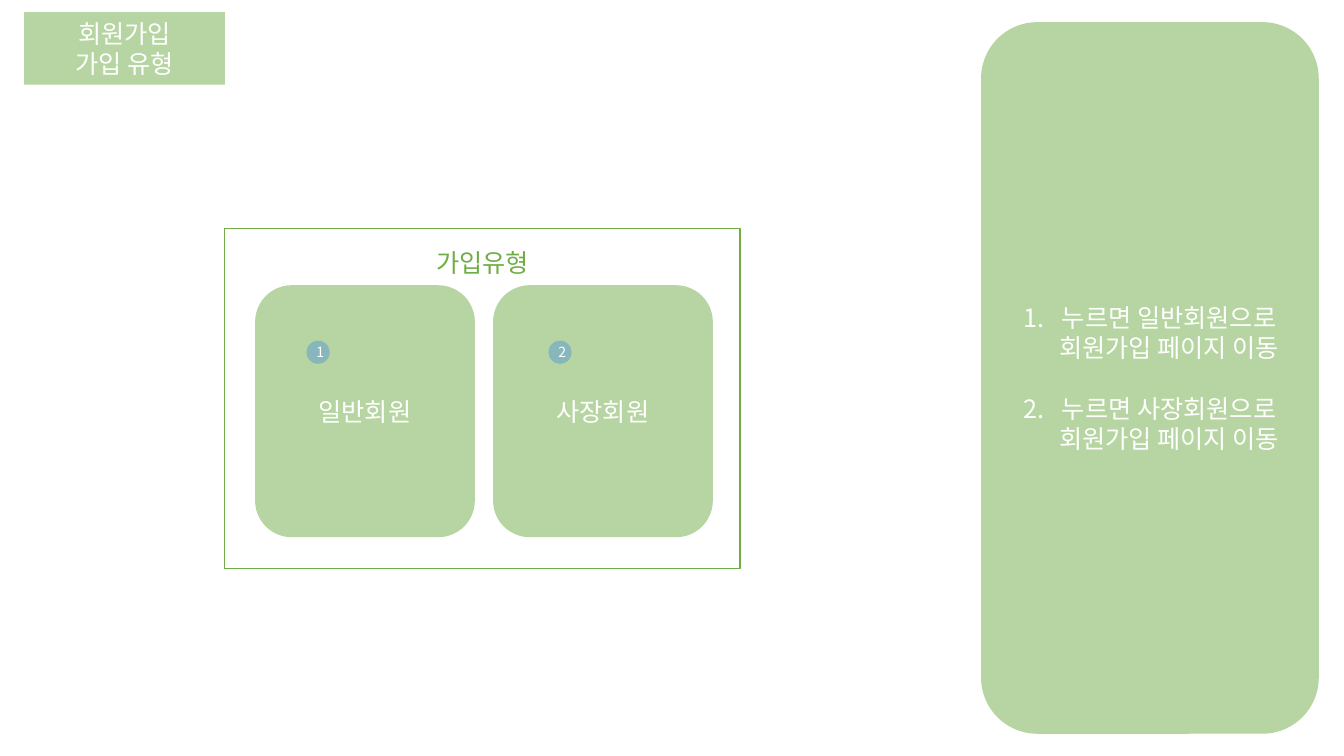
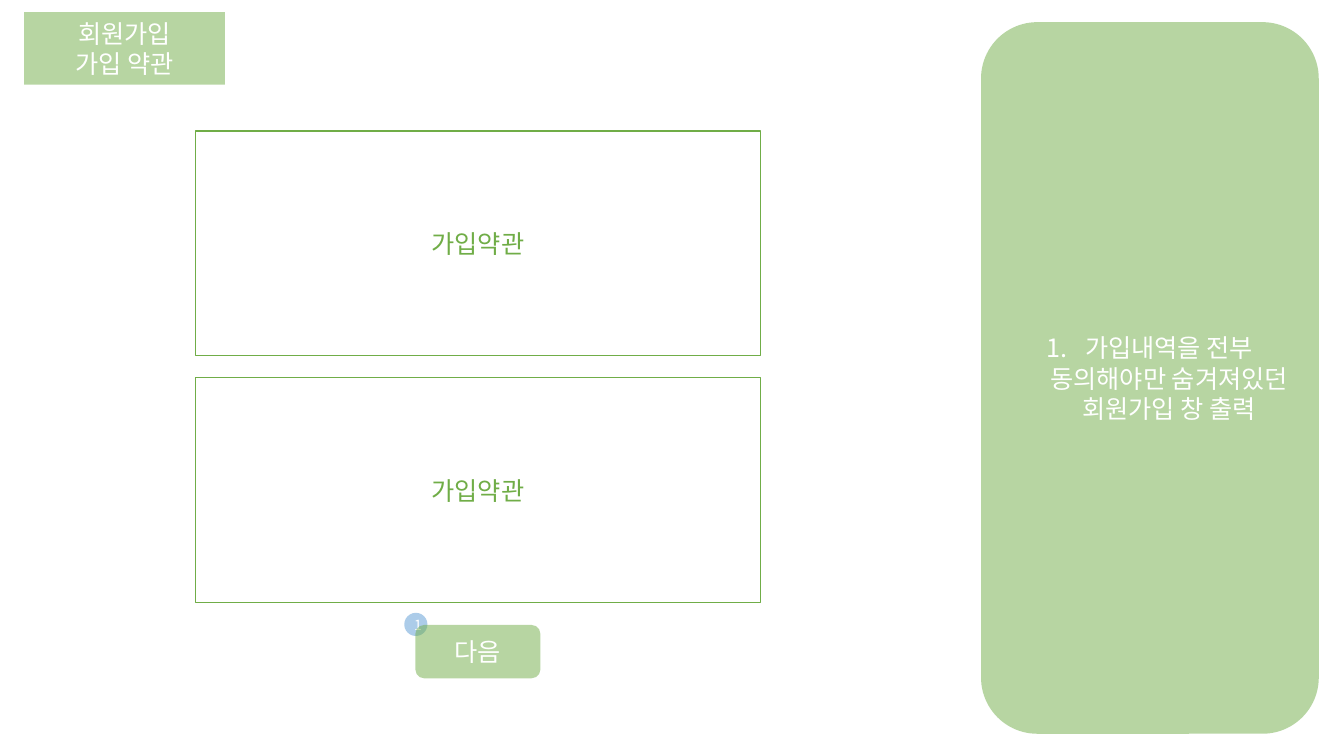
from lxml import etree
from pptx import Presentation
from pptx.dml.color import RGBColor
from pptx.enum.shapes import MSO_SHAPE
from pptx.enum.text import MSO_ANCHOR, MSO_AUTO_SIZE, PP_ALIGN
from pptx.oxml.ns import qn
from pptx.util import Pt

RECTANGLE = MSO_SHAPE.RECTANGLE
ROUNDED = MSO_SHAPE.ROUNDED_RECTANGLE
OVAL = MSO_SHAPE.OVAL
CENTER = PP_ALIGN.CENTER
MIDDLE, TOP = MSO_ANCHOR.MIDDLE, MSO_ANCHOR.TOP
NO_AUTOFIT = MSO_AUTO_SIZE.NONE
TITLE_ONLY = 5

EMU_PER_PX = 9144  # 100 px to the inch
SLIDE_SIZE = (1333, 750)
TITLE_BOX = (24, 12, 199, 72)
NOTES_BOX = (973, 22, 335, 706)
BADGE_SIZE = 23
FONT = "Noto Sans CJK KR"
COLORS = {"green": "70AD47", "blue": "5B9BD5", "white": "FFFFFF"}


def px(length):
    return length * EMU_PER_PX


def color(name):
    return RGBColor.from_string(COLORS[name])


def fill_half_transparent(shape, color_name):
    shape.fill.solid()
    shape.fill.fore_color.rgb = color(color_name)
    color_element = shape.fill._xPr.find(qn("a:solidFill"))[0]
    etree.SubElement(color_element, qn("a:alpha"), val="50000")


def write_text(shape, text, color_name="white", size=18, anchor=MIDDLE):
    frame = shape.text_frame
    frame.text = text
    frame.word_wrap = True
    frame.auto_size = NO_AUTOFIT
    frame.vertical_anchor = anchor
    for paragraph in frame.paragraphs:
        paragraph.alignment = CENTER
        paragraph.line_spacing = 1.0
        font = paragraph.font
        font.name, font.size = FONT, Pt(size)
        font.color.rgb = color(color_name)
        etree.SubElement(font._element, qn("a:ea"), typeface=FONT)


def add_panel(slide, kind, box, text, fill="green", size=18):
    """Add a half-transparent shape with white centred text."""
    shape = slide.shapes.add_shape(kind, *map(px, box))
    shape.shadow.inherit = False
    shape.line.fill.background()
    fill_half_transparent(shape, fill)
    write_text(shape, text, size=size)
    return shape


def add_frame(slide, box, text, anchor=MIDDLE):
    """Add an unfilled, green-outlined box with a green label."""
    shape = slide.shapes.add_shape(RECTANGLE, *map(px, box))
    shape.shadow.inherit = False
    shape.fill.background()
    shape.line.color.rgb = color("green")
    shape.line.width = Pt(0.75)
    write_text(shape, text, "green", anchor=anchor)
    return shape


def add_badge(slide, left, top, number):
    box = (left, top, BADGE_SIZE, BADGE_SIZE)
    add_panel(slide, OVAL, box, str(number), fill="blue", size=10)


def place_title(slide, text):
    """Turn the title placeholder into the rounded page tag."""
    title = slide.shapes.title
    title.left, title.top, title.width, title.height = map(px, TITLE_BOX)
    geometry = etree.SubElement(title._element.spPr, qn("a:prstGeom"), prst="roundRect")
    etree.SubElement(geometry, qn("a:avLst"))
    fill_half_transparent(title, "green")
    write_text(title, text)


def add_notes_panel(slide, notes):
    """Add the tall side panel with its numbered notes."""
    panel = add_panel(slide, ROUNDED, NOTES_BOX, "\n".join(notes))
    for index, paragraph in enumerate(panel.text_frame.paragraphs):
        if index:
            paragraph.space_before = Pt(22)
        properties = paragraph._p.get_or_add_pPr()
        properties.set("marL", str(px(38)))
        properties.set("indent", str(-px(38)))
        numbering = etree.Element(qn("a:buAutoNum"), type="arabicPeriod")
        properties.find(qn("a:defRPr")).addprevious(numbering)


def add_page(presentation, title, notes):
    slide = presentation.slides.add_slide(presentation.slide_layouts[TITLE_ONLY])
    place_title(slide, title)
    add_notes_panel(slide, notes)
    return slide


def add_member_types(slide, box):
    """Add the framed choice between the two kinds of member."""
    left, top, _, _ = box
    width, height, gap = 218, 250, 18
    cards = [("일반회원", 51), ("사장회원", 55)]
    for index, (label, badge_inset) in enumerate(cards):
        card_left = left + 30 + index * (width + gap)
        card_top = top + 56
        add_panel(slide, ROUNDED, (card_left, card_top, width, height), label)
        add_badge(slide, card_left + badge_inset, card_top + 55, index + 1)
    frame = add_frame(slide, box, "가입유형", TOP)
    frame.text_frame.margin_top = px(18)


def add_terms(slide, box):
    """Add two stacked terms boxes and the numbered button below them."""
    left, top, width, _ = box
    terms_height, pitch = 223, 245
    for index in range(2):
        add_frame(slide, (left, top + index * pitch, width, terms_height), "가입약관")
    button_width, button_height = 124, 53
    button_left = left + (width - button_width) // 2
    button_top = top + 2 * pitch
    add_badge(slide, button_left - 11, button_top - 12, 1)
    add_panel(slide, ROUNDED, (button_left, button_top, button_width, button_height), "다음")


def main():
    presentation = Presentation()
    presentation.slide_width, presentation.slide_height = map(px, SLIDE_SIZE)

    slide = add_page(presentation, "회원가입\n가입 유형", [
        "누르면 일반회원으로 회원가입 페이지 이동",
        "누르면 사장회원으로 회원가입 페이지 이동",
    ])
    add_member_types(slide, (223, 227, 511, 337))

    slide = add_page(presentation, "회원가입\n가입 약관", [
        "가입내역을 전부 동의해야만 숨겨져있던 회원가입 창 출력",
    ])
    add_terms(slide, (194, 130, 560, 543))

    presentation.save("out.pptx")


if __name__ == "__main__":
    main()
